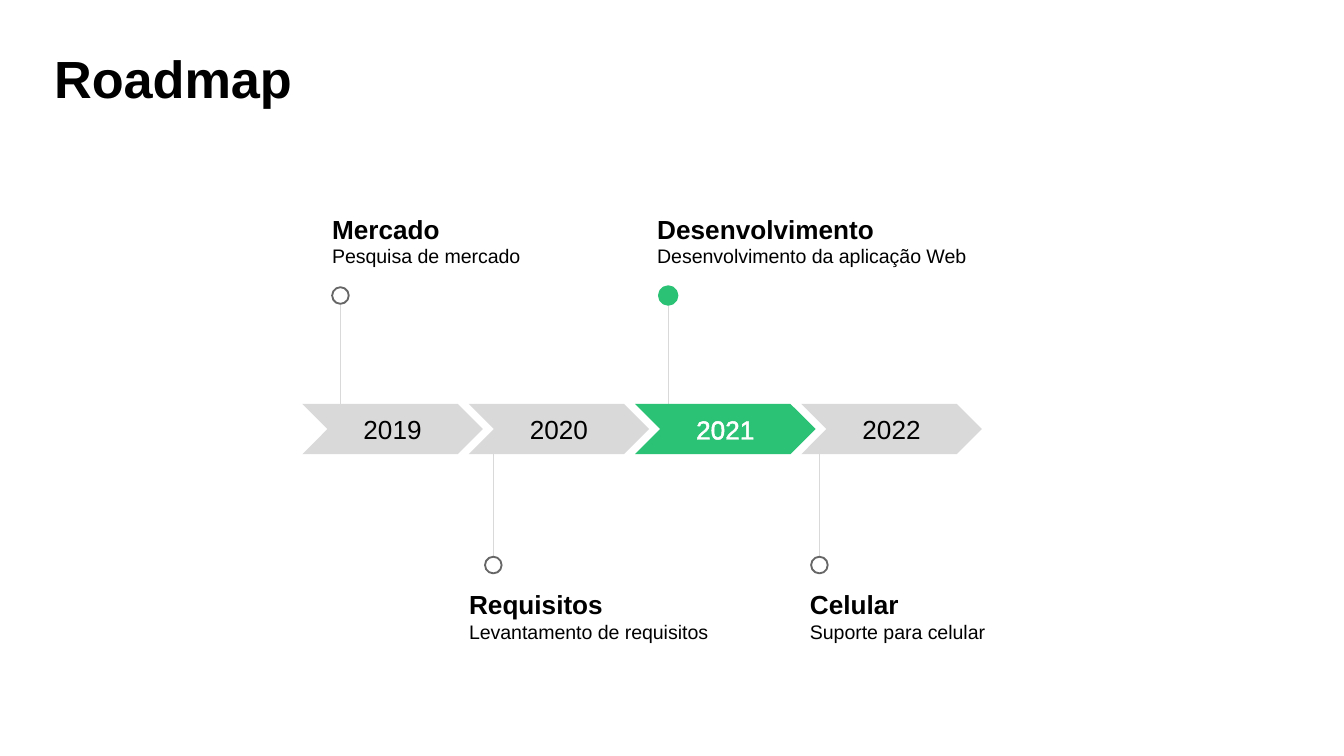
from lxml import etree
from pptx import Presentation
from pptx.dml.color import RGBColor as Rgb
from pptx.enum.shapes import MSO_CONNECTOR as Conn, MSO_SHAPE as Geo
from pptx.enum.text import MSO_ANCHOR as Anchor, PP_ALIGN as Align
from pptx.oxml.ns import qn
from pptx.util import Pt

HEX = {"ink": "000000", "white": "FFFFFF", "grey": "D9D9D9",
       "ring": "666666", "green": "2BC275"}
YEARS = ["2019", "2020", "2021", "2022"]
NOW = "2021"
EVENTS = [
    ("Mercado", "Pesquisa de mercado", 20.4, 15.9, 140.4, True, False),
    ("Requisitos", "Levantamento de requisitos", 102.3, 89.3, 140.4, False, False),
    ("Desenvolvimento", "Desenvolvimento da aplicação Web", 196, 190.1, 178.6, True, True),
    ("Celular", "Suporte para celular", 277, 271.9, 140.4, False, False),
]


def color(name):
    """Return the named colour."""
    return Rgb.from_string(HEX[name])


def style(item, **values):
    """Set each given attribute on the item."""
    for key, value in values.items():
        setattr(item, key, value)


def write(para, text, size, bold=False, tint="ink"):
    """Add one styled run to a paragraph."""
    run = para.add_run()
    run.text = text
    style(run.font, name="Arial", size=Pt(size), bold=bold)
    run.font.color.rgb = color(tint)
    return run


def textbox(slide, box, pad, anchor):
    """Add a wrapped text box without side insets and return its frame."""
    frame = slide.shapes.add_textbox(*map(Pt, box)).text_frame
    style(frame, word_wrap=True, vertical_anchor=anchor, margin_left=0,
          margin_right=0, margin_top=Pt(pad), margin_bottom=Pt(pad))
    return frame


def shape(slide, geo, box, tint):
    """Add a filled shape without shadow or line."""
    item = slide.shapes.add_shape(geo, *map(Pt, box))
    item.shadow.inherit = False
    item.fill.solid()
    item.fill.fore_color.rgb = color(tint)
    item.line.fill.background()
    return item


def title(slide, box):
    """Place the slide title."""
    para = textbox(slide, box, 0, Anchor.TOP).paragraphs[0]
    para.line_spacing = 0.9
    write(para, "Roadmap", 28, True)


def pin(slide, x, edge, end, now):
    """Draw a stem from the band edge to a dot."""
    stem = slide.shapes.add_connector(Conn.STRAIGHT, *map(Pt, (x, end, x, edge)))
    stem.line.color.rgb = color("grey")
    stem.line.width = Pt(0.5)
    etree.SubElement(stem._element.spPr, qn("a:effectLst"))
    size = 8.9
    dot = shape(slide, Geo.OVAL, (x - size / 2, end - size / 2, size, size),
                "green" if now else "white")
    dot.line.color.rgb = color("green" if now else "ring")
    dot.line.width = Pt(2 if now else 1)


def event(slide, box, row):
    """Place one milestone above or below the band box."""
    head, note, stem, left, wide, above, now = row
    x, y, _, h = box
    mid, side = y + h / 2, -1 if above else 1
    reach = 71.5 if above else 72.9
    pin(slide, x + stem, mid + side * h / 2, mid + side * reach, now)
    tall, gap = 70.6, 82.2
    top = mid - gap - tall - 0.6 if above else mid + gap - 0.4
    frame = textbox(slide, (x + left, top, wide, tall), 3.6,
                    Anchor.BOTTOM if above else Anchor.TOP)
    write(frame.paragraphs[0], head, 14, True)
    write(frame.add_paragraph(), note, 10.5)


def band(slide, box):
    """Draw the row of year chevrons."""
    x, y, w, h = box
    wide = 96.7
    step = (w - wide) / (len(YEARS) - 1)
    for i, year in enumerate(YEARS):
        now = year == NOW
        item = shape(slide, Geo.CHEVRON, (x + i * step, y, wide, h),
                     "green" if now else "grey")
        frame = item.text_frame
        frame.vertical_anchor = Anchor.MIDDLE
        para = frame.paragraphs[0]
        para.alignment = Align.CENTER
        run = write(para, year, 14, tint="white" if now else "ink")
        if now:
            line = etree.Element(qn("a:ln"), w=str(Pt(0.75)))
            fill = etree.SubElement(line, qn("a:solidFill"))
            etree.SubElement(fill, qn("a:srgbClr"), val=HEX["white"])
            run._r.get_or_add_rPr().insert(0, line)


def main():
    """Build and save the roadmap slide."""
    deck = Presentation()
    style(deck, slide_width=Pt(720), slide_height=Pt(405))
    slide = deck.slides.add_slide(deck.slide_layouts[6])
    title(slide, (29, 28.5, 662, 32))
    box = (162, 216.4, 364, 26.9)
    for row in EVENTS:
        event(slide, box, row)
    band(slide, box)
    deck.save("out.pptx")


if __name__ == "__main__":
    main()
